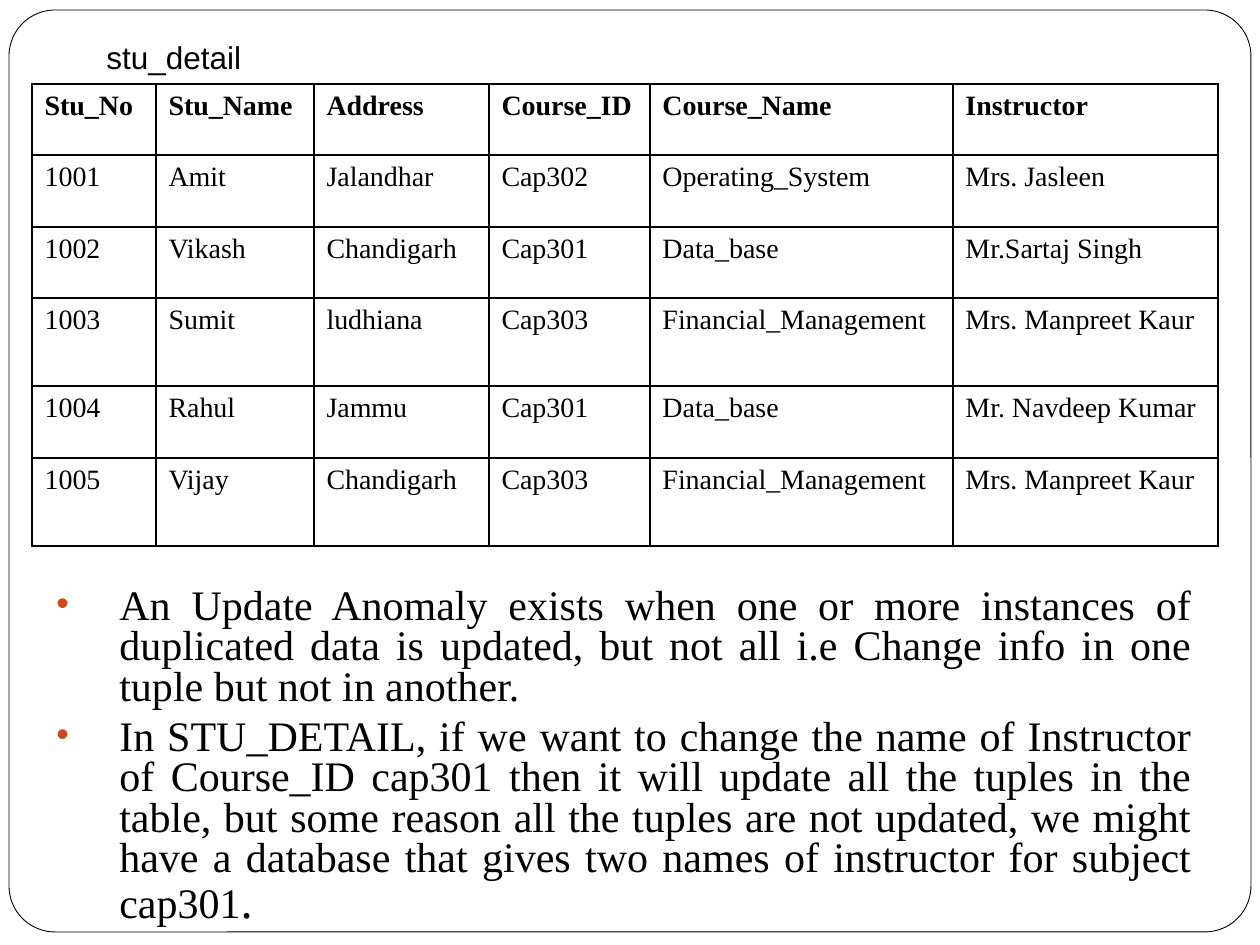
from lxml import etree
from pptx import Presentation
from pptx.dml.color import RGBColor
from pptx.enum.shapes import MSO_SHAPE
from pptx.enum.text import PP_ALIGN
from pptx.oxml.ns import qn
from pptx.util import Pt

ROUNDED = MSO_SHAPE.ROUNDED_RECTANGLE
JUSTIFY = PP_ALIGN.JUSTIFY
EMU_PER_PX = 914400 / 126
SERIF, SANS = "Times New Roman", "Arial"
BLACK, WHITE, ORANGE = "000000", "FFFFFF", "D34817"

COLUMN_WIDTHS = [124, 158, 175, 161, 303, 265]
ROW_HEIGHTS = [71, 72, 71, 88, 72, 88]
STUDENTS = [
    ["Stu_No", "Stu_Name", "Address", "Course_ID", "Course_Name", "Instructor"],
    ["1001", "Amit", "Jalandhar", "Cap302", "Operating_System", "Mrs. Jasleen"],
    ["1002", "Vikash", "Chandigarh", "Cap301", "Data_base", "Mr.Sartaj Singh"],
    ["1003", "Sumit", "ludhiana", "Cap303", "Financial_Management", "Mrs. Manpreet Kaur"],
    ["1004", "Rahul", "Jammu", "Cap301", "Data_base", "Mr. Navdeep Kumar"],
    ["1005", "Vijay", "Chandigarh", "Cap303", "Financial_Management", "Mrs. Manpreet Kaur"],
]
# Each point is a list of (text, size) runs
POINTS = [
    [("An Update Anomaly exists when one or more instances of duplicated data is "
      "updated, but not all i.e Change info in one tuple but not in another. ", 24)],
    [("In STU_DETAIL, if we want to change the name of Instructor of Course_ID cap301 "
      "then it will update all the tuples in the table, but some reason all the tuples "
      "are not updated, we might have a database that gives two names of instructor "
      "for subject cap301", 24), (". ", 28)],
]


def px(length):
    return round(length * EMU_PER_PX)


def color(value):
    return RGBColor.from_string(value)


def style(font, name, size, bold=False):
    font.name, font.size, font.bold = name, Pt(size), bold
    font.color.rgb = color(BLACK)


def add_frame(slide, *box):
    frame = slide.shapes.add_shape(ROUNDED, *map(px, box))
    frame.adjustments[0] = 0.05
    frame.shadow.inherit = False
    frame.fill.solid()
    frame.fill.fore_color.rgb = color(WHITE)
    frame.line.color.rgb = color(BLACK)
    frame.line.width = Pt(0.5)


def add_caption(slide, text, *box):
    caption = slide.shapes.add_textbox(*map(px, box)).text_frame
    caption.word_wrap = False
    caption.text = text
    style(caption.paragraphs[0].runs[0].font, SANS, 18)


def add_borders(cell):
    properties = cell._tc.get_or_add_tcPr()
    for position, side in enumerate(("lnL", "lnR", "lnT", "lnB")):
        line = etree.Element(qn(f"a:{side}"), w=str(Pt(1.08)))
        fill = etree.SubElement(line, qn("a:solidFill"))
        etree.SubElement(fill, qn("a:srgbClr"), val=BLACK)
        properties.insert(position, line)


def add_student_table(slide, left, top):
    width, height = sum(COLUMN_WIDTHS), sum(ROW_HEIGHTS)
    table = slide.shapes.add_table(
        len(STUDENTS), len(COLUMN_WIDTHS), *map(px, (left, top, width, height))).table
    table.horz_banding = False
    for column, column_width in zip(table.columns, COLUMN_WIDTHS):
        column.width = px(column_width)
    for index, (row, record) in enumerate(zip(table.rows, STUDENTS)):
        row.height = px(ROW_HEIGHTS[index])
        for cell, value in zip(row.cells, record):
            cell.text = value
            cell.fill.background()
            add_borders(cell)
            style(cell.text_frame.paragraphs[0].runs[0].font, SERIF, 16, bold=index == 0)


def add_bullet(paragraph):
    properties = paragraph._p.get_or_add_pPr()
    properties.set("marL", str(px(63)))
    properties.set("indent", str(px(-63)))
    bullet_color = etree.SubElement(properties, qn("a:buClr"))
    etree.SubElement(bullet_color, qn("a:srgbClr"), val=ORANGE)
    etree.SubElement(properties, qn("a:buSzPct"), val="85000")
    etree.SubElement(properties, qn("a:buFont"), typeface=SANS)
    etree.SubElement(properties, qn("a:buChar"), char="•")


def add_points(slide, *box):
    body = slide.shapes.add_textbox(*map(px, box)).text_frame
    body.word_wrap = True
    for index, point in enumerate(POINTS):
        paragraph = body.add_paragraph() if index else body.paragraphs[0]
        add_bullet(paragraph)
        paragraph.alignment = JUSTIFY
        paragraph.line_spacing = 0.8
        if index:
            paragraph.space_before = Pt(5.8)
        for text, size in point:
            run = paragraph.add_run()
            run.text = text
            style(run.font, SERIF, size)


def main():
    deck = Presentation()
    deck.slide_width, deck.slide_height = px(1260), px(945)
    slide = deck.slides.add_slide(deck.slide_layouts[6])
    add_frame(slide, 9, 10, 1242, 922)
    add_student_table(slide, 32, 84)
    add_caption(slide, "stu_detail", 94, 32, 242, 32)
    add_points(slide, 44, 582, 1160, 318)
    deck.save("out.pptx")


if __name__ == "__main__":
    main()
